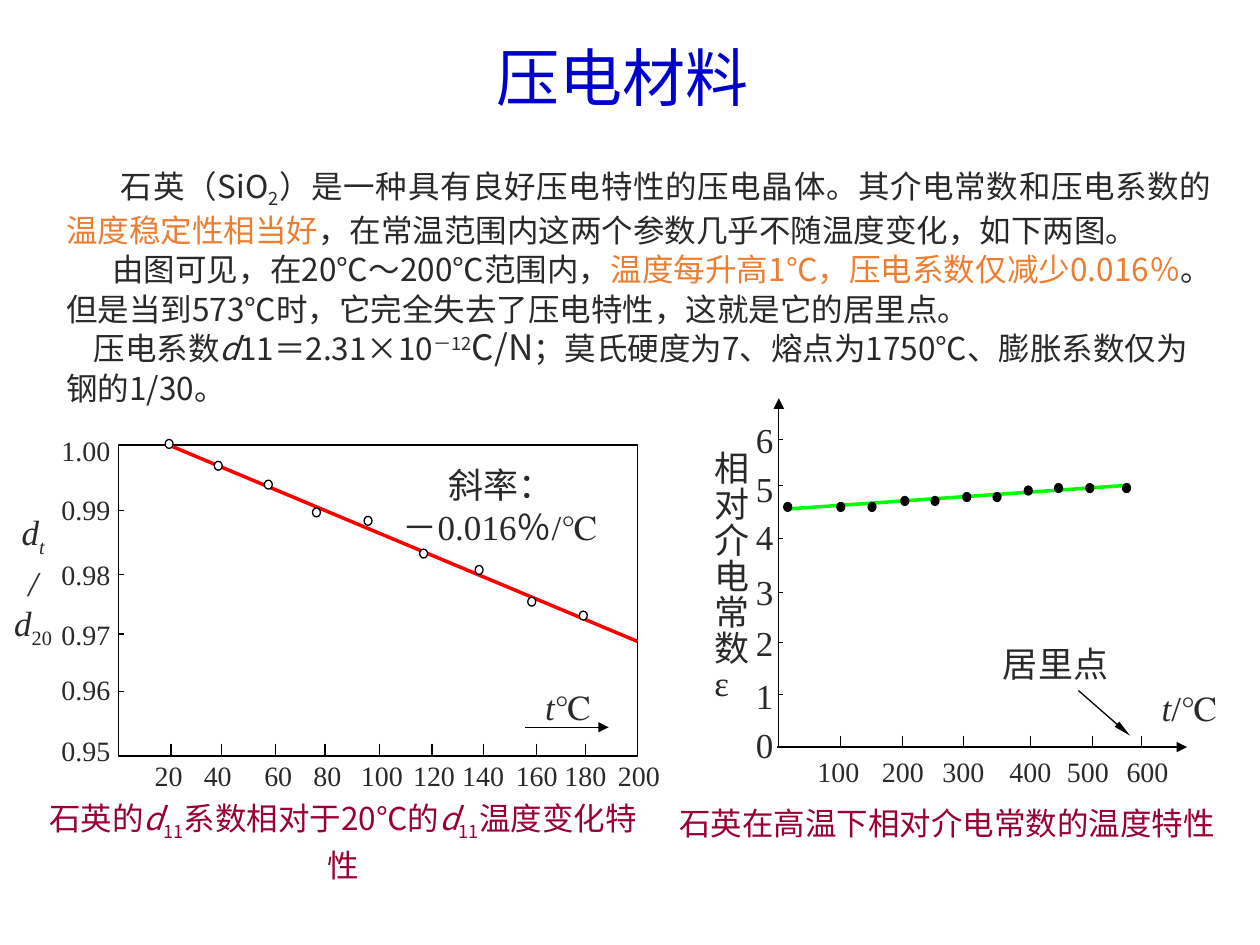
from lxml import etree
from pptx import Presentation
from pptx.dml.color import RGBColor
from pptx.enum.shapes import MSO_CONNECTOR, MSO_SHAPE
from pptx.enum.text import MSO_ANCHOR, MSO_AUTO_SIZE, PP_ALIGN
from pptx.oxml.ns import qn
from pptx.util import Cm, Pt

LEFT, CENTER, JUSTIFY = PP_ALIGN.LEFT, PP_ALIGN.CENTER, PP_ALIGN.JUSTIFY
STRAIGHT, OVAL, RECT = MSO_CONNECTOR.STRAIGHT, MSO_SHAPE.OVAL, MSO_SHAPE.RECTANGLE
BLACK = RGBColor(0x00, 0x00, 0x00)
WHITE = RGBColor(0xFF, 0xFF, 0xFF)
INK = RGBColor(0x29, 0x29, 0x29)
BLUE = RGBColor(0x00, 0x00, 0xCC)
ORANGE = RGBColor(0xED, 0x7D, 0x31)
WINE = RGBColor(0x99, 0x00, 0x33)
RED = RGBColor(0xFF, 0x00, 0x00)
GREEN = RGBColor(0x00, 0xFF, 0x00)
SANS, SERIF = "Noto Sans CJK SC", "Times New Roman"

# Run styles
ITALIC = {"italic": True}
SUB = {"baseline": -25000}
SUPER = {"baseline": 30000}
ACCENT = {"color": ORANGE}

prs = Presentation()
prs.slide_width, prs.slide_height = Cm(25.4), Cm(19.05)
s = prs.slides.add_slide(prs.slide_layouts[5])


def add_text(x, y, w, h, paragraphs, size=20, align=LEFT, font=SERIF,
             color=INK, spacing=None, margins=(0, 0)):
    """Add a text box; each paragraph is a list of (text, style) runs."""
    tf = s.shapes.add_textbox(Cm(x), Cm(y), Cm(w), Cm(h)).text_frame
    tf.word_wrap = True
    tf.margin_left = tf.margin_right = Cm(margins[0])
    tf.margin_top = tf.margin_bottom = Cm(margins[1])
    for i, runs in enumerate(paragraphs):
        p = tf.add_paragraph() if i else tf.paragraphs[0]
        p.alignment = align
        if spacing:
            p.line_spacing = Pt(spacing)
        p.font.name, p.font.size, p.font.color.rgb = font, Pt(size), color
        for text, style in runs:
            r = p.add_run()
            r.text = text
            if "italic" in style:
                r.font.italic = True
            if "color" in style:
                r.font.color.rgb = style["color"]
            if "size" in style:
                r.font.size = Pt(style["size"])
            if "baseline" in style:
                r._r.get_or_add_rPr().set("baseline", str(style["baseline"]))
    return tf


def add_line(x1, y1, x2, y2, color=BLACK, width=0.75, head=None):
    """Add a straight line; head is the (width, length) of an arrowhead."""
    c = s.shapes.add_connector(STRAIGHT, Cm(x1), Cm(y1), Cm(x2), Cm(y2))
    c.line.color.rgb, c.line.width = color, Pt(width)
    if head:
        etree.SubElement(c.line._get_or_add_ln(), qn("a:tailEnd"),
                         type="triangle", w=head[0], len=head[1])
    etree.SubElement(c._element.spPr, qn("a:effectLst"))


# Title
sp = s.shapes.title
sp.left, sp.top, sp.width, sp.height = Cm(2.34), Cm(0.64), Cm(20.4), Cm(1.78)
tf = sp.text_frame
tf.text = "压电材料"
tf.auto_size = MSO_AUTO_SIZE.NONE
tf.vertical_anchor = MSO_ANCHOR.MIDDLE
p = tf.paragraphs[0]
p.alignment = CENTER
p.font.name, p.font.size, p.font.color.rgb = SERIF, Pt(36), BLUE

# Body text
tf = add_text(1.09, 3.3, 23.6, 6.1, [
    [("石英（SiO", {}), ("2", SUB),
     ("）是一种具有良好压电特性的压电晶体。其介电常数和压电系数的", {}),
     ("温度稳定性相当好", ACCENT),
     ("，在常温范围内这两个参数几乎不随温度变化，如下两图。", {})],
    [("由图可见，在20℃～200℃范围内，", {}),
     ("温度每升高1℃，压电系数仅减少0.016％", ACCENT),
     ("。但是当到573℃时，它完全失去了压电特性，这就是它的居里点。", {})],
    [("压电系数", {}), ("d", ITALIC), ("11＝2.31×10", {}), ("－12", SUPER),
     ("C/N", {"size": 20}),
     ("；莫氏硬度为7、熔点为1750℃、膨胀系数仅为钢的1/30。", {})],
], size=18, align=JUSTIFY, font=SANS, spacing=22.5, margins=(0.25, 0.13))
for p, indent in zip(tf.paragraphs, (1.1, 0.92, 0.55)):
    p._p.get_or_add_pPr().set("indent", str(Cm(indent)))
tf.paragraphs[2].alignment = LEFT

# Left graph: frame, ticks and scale
sp = s.shapes.add_shape(RECT, Cm(2.39), Cm(8.97), Cm(10.46), Cm(6.27))
sp.shadow.inherit = False
sp.fill.background()
sp.line.color.rgb, sp.line.width = BLACK, Pt(0.75)
for y in (10.29, 11.58, 12.78, 13.94):
    add_line(2.39, y, 2.51, y)
for x in (3.45, 4.47, 5.56, 6.55, 7.65, 8.71, 9.75, 10.82, 11.81):
    add_line(x, 14.99, x, 15.24)
for i, y in enumerate((8.74, 9.93, 11.23, 12.45, 13.56, 14.78)):
    add_text(1.24, y, 1.02, 0.97, [[(f"{1 - i / 100:.2f}", {})]], size=16)
label_centers = (3.4, 4.39, 5.61, 6.6, 7.7, 8.75, 9.74, 10.82, 11.8, 12.88)
for i, x in enumerate(label_centers, 1):
    add_text(x - 0.57, 15.3, 1.14, 0.7, [[(str(20 * i), {})]], size=16, align=CENTER)

# Left graph: trend and labels
add_line(3.4, 8.97, 12.85, 12.93, RED, 2)
add_text(0.25, 10.34, 0.84, 3.53,
         [[("d", ITALIC), ("t", {**ITALIC, **SUB})], [("/", ITALIC)],
          [("d", ITALIC), ("20", SUB)]], align=CENTER, spacing=26)
add_text(7.67, 9.35, 4.85, 0.97, [[("斜率：", {})], [("－0.016％/℃", {})]],
         align=CENTER, spacing=24)
add_text(10.36, 13.82, 2.21, 0.81, [[("t", ITALIC), ("℃", {})]],
         align=CENTER, spacing=24)
add_line(10.59, 14.66, 12.27, 14.66, head=("med", "med"))

# Right graph: axes, ticks and scale
add_line(15.7, 15.06, 15.7, 8.03, head=("med", "med"))
add_line(15.67, 15.06, 23.93, 15.06, head=("med", "med"))
for y in (8.86, 9.78, 10.85, 11.94, 12.95, 14):
    add_line(15.7, y, 15.79, y)
for x in (16.94, 18.19, 19.43, 20.78, 22.02, 23.01):
    add_line(x, 14.83, x, 15.06)
for i, y in enumerate((8.43, 9.42, 10.39, 11.51, 12.52, 13.59, 14.58)):
    add_text(15.24, y, 0.64, 0.81, [[(str(6 - i), {})]])
for i, x in enumerate((16.48, 17.78, 19, 20.35, 21.51, 22.71), 1):
    add_text(x, 15.21, 1.1, 0.7, [[(str(100 * i), {})]], size=16)

# Right graph: trend and labels
add_line(15.88, 10.26, 22.78, 9.78, GREEN, 2)
add_text(14.4, 9.13, 0.89, 4.65, [[("相对介电常数ε", {})]], spacing=20.5)
add_text(20.22, 12.95, 2.41, 0.81, [[("居里点", {})]], spacing=24)
add_line(21.74, 13.92, 22.78, 14.83, head=("sm", "lg"))
add_text(23.42, 13.84, 1.3, 0.94, [[("t", ITALIC), ("/℃", {})]], spacing=24)

# Measured points of both graphs
left_points = [(3.33, 8.86), (4.32, 9.3), (5.33, 9.68), (6.3, 10.24), (7.34, 10.41),
               (8.46, 11.07), (9.58, 11.4), (10.64, 12.04), (11.68, 12.32)]
right_points = [(15.8, 10.13), (16.87, 10.13), (17.5, 10.13), (18.16, 10.01),
                (18.77, 10.01), (19.41, 9.93), (20.02, 9.93), (20.65, 9.8),
                (21.26, 9.75), (21.89, 9.75), (22.63, 9.75)]
for points, fill in ((left_points, WHITE), (right_points, BLACK)):
    for x, y in points:
        sp = s.shapes.add_shape(OVAL, Cm(x), Cm(y), Cm(0.16), Cm(0.18))
        sp.shadow.inherit = False
        sp.fill.solid()
        sp.fill.fore_color.rgb = fill
        sp.line.color.rgb, sp.line.width = BLACK, Pt(0.75)

# Captions
add_text(0.69, 16.13, 12.45, 0.97,
         [[("石英的", {}), ("d", ITALIC), ("11", SUB), ("系数相对于20℃的", {}),
           ("d", ITALIC), ("11", SUB), ("温度变化特性", {})]],
         size=18, align=CENTER, font=SANS, color=WINE, spacing=24)
add_text(13.69, 16.13, 11.1, 1.65, [[("石英在高温下相对介电常数的温度特性", {})]],
         size=18, color=WINE, spacing=24)

prs.save("out.pptx")
